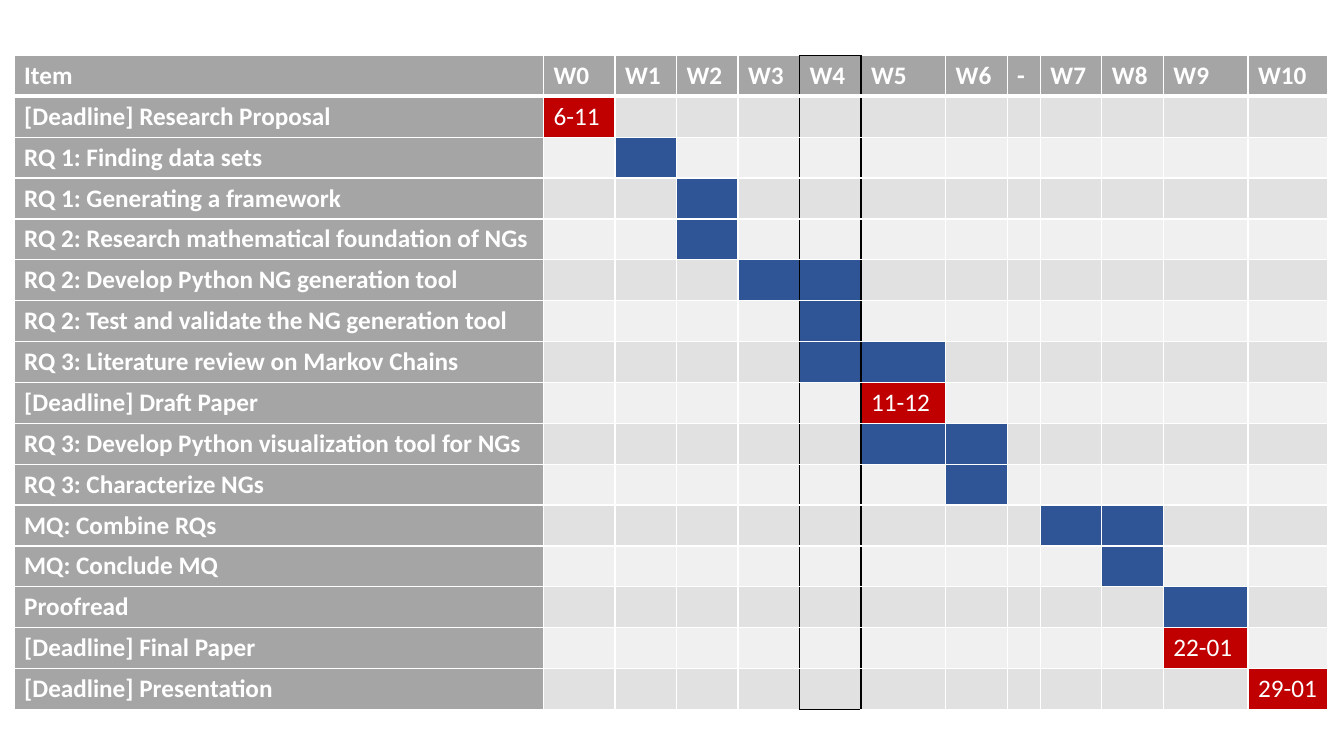
import pptx
import pptx.util
import pptx.dml.color
import lxml.etree
import pptx.oxml.ns

Inches = pptx.util.Inches

WEEKS = ["W0", "W1", "W2", "W3", "W4", "W5", "W6", "-", "W7", "W8", "W9", "W10"]
WIDTHS = [5.25, 0.71, 0.61, 0.61, 0.61, 0.61, 0.84, 0.61, 0.33, 0.61, 0.61, 0.84, 0.79]
# Item, weeks in which it runs, date of a deadline
TASKS = [
    ("[Deadline] Research Proposal", ["W0"], "6-11"),
    ("RQ 1: Finding data sets", ["W1"], ""),
    ("RQ 1: Generating a framework", ["W2"], ""),
    ("RQ 2: Research mathematical foundation of NGs", ["W2"], ""),
    ("RQ 2: Develop Python NG generation tool", ["W3", "W4"], ""),
    ("RQ 2: Test and validate the NG generation tool", ["W4"], ""),
    ("RQ 3: Literature review on Markov Chains", ["W4", "W5"], ""),
    ("[Deadline] Draft Paper", ["W5"], "11-12"),
    ("RQ 3: Develop Python visualization tool for NGs", ["W5", "W6"], ""),
    ("RQ 3: Characterize NGs", ["W6"], ""),
    ("MQ: Combine RQs", ["W7", "W8"], ""),
    ("MQ: Conclude MQ", ["W8"], ""),
    ("Proofread", ["W9"], ""),
    ("[Deadline] Final Paper", ["W9"], "22-01"),
    ("[Deadline] Presentation", ["W10"], "29-01"),
]
NOW = WEEKS.index("W4") + 1
LAST = len(TASKS)
GREY, BLUE, RED = "A5A5A5", "2F5597", "C00000"
BANDS = ["F0F0F0", "E1E1E1"]
WHITE, BLACK = "FFFFFF", "000000"


def color(code):
    return pptx.dml.color.RGBColor.from_string(code)


def paint(cell, fill, text="", bold=False):
    cell.fill.solid()
    cell.fill.fore_color.rgb = color(fill)
    if text:
        run = cell.text_frame.paragraphs[0].add_run()
        run.text = text
        run.font.name = "Calibri"
        run.font.size = pptx.util.Pt(18)
        run.font.bold = bold
        run.font.color.rgb = color(WHITE)


def edge(cell, row, col):
    """Draw white cell borders, with a black frame round the current week."""
    left = BLACK if col in (NOW, NOW + 1) else WHITE
    right = BLACK if col in (NOW - 1, NOW) else WHITE
    top = BLACK if (row, col) == (0, NOW) else WHITE
    base = BLACK if (row, col) == (LAST, NOW) else WHITE
    lines = [("L", left, 1), ("R", right, 1),
             ("T", top, 3 if row == 1 else 1), ("B", base, 3 if row == 0 else 1)]
    qn = pptx.oxml.ns.qn
    props = cell._tc.get_or_add_tcPr()
    for spot, (side, code, width) in enumerate(lines):
        line = lxml.etree.Element(qn("a:ln" + side), w=str(pptx.util.Pt(width)))
        fill = lxml.etree.SubElement(line, qn("a:solidFill"))
        lxml.etree.SubElement(fill, qn("a:srgbClr"), val=code)
        props.insert(spot, line)


def add_plan(slide, left, top, width, height):
    rows, cols = len(TASKS) + 1, len(WIDTHS)
    table = slide.shapes.add_table(rows, cols, left, top, width, height).table
    for col, size in zip(table.columns, WIDTHS):
        col.width = Inches(size)

    # Header row
    for col, label in enumerate(["Item"] + WEEKS):
        paint(table.cell(0, col), GREY, label, True)

    # Task rows
    for row, (name, active, date) in enumerate(TASKS, 1):
        paint(table.cell(row, 0), GREY, name, True)
        for col, week in enumerate(WEEKS, 1):
            if week in active:
                paint(table.cell(row, col), RED if date else BLUE, date)
            else:
                paint(table.cell(row, col), BANDS[row % 2])

    # Borders
    for row in range(rows):
        for col in range(cols):
            edge(table.cell(row, col), row, col)


def main():
    deck = pptx.Presentation()
    deck.slide_width = Inches(13.33)
    deck.slide_height = Inches(7.5)
    slide = deck.slides.add_slide(deck.slide_layouts[6])
    add_plan(slide, Inches(0.14), Inches(0.55), Inches(13.03), Inches(6.4))
    deck.save("out.pptx")


if __name__ == "__main__":
    main()
